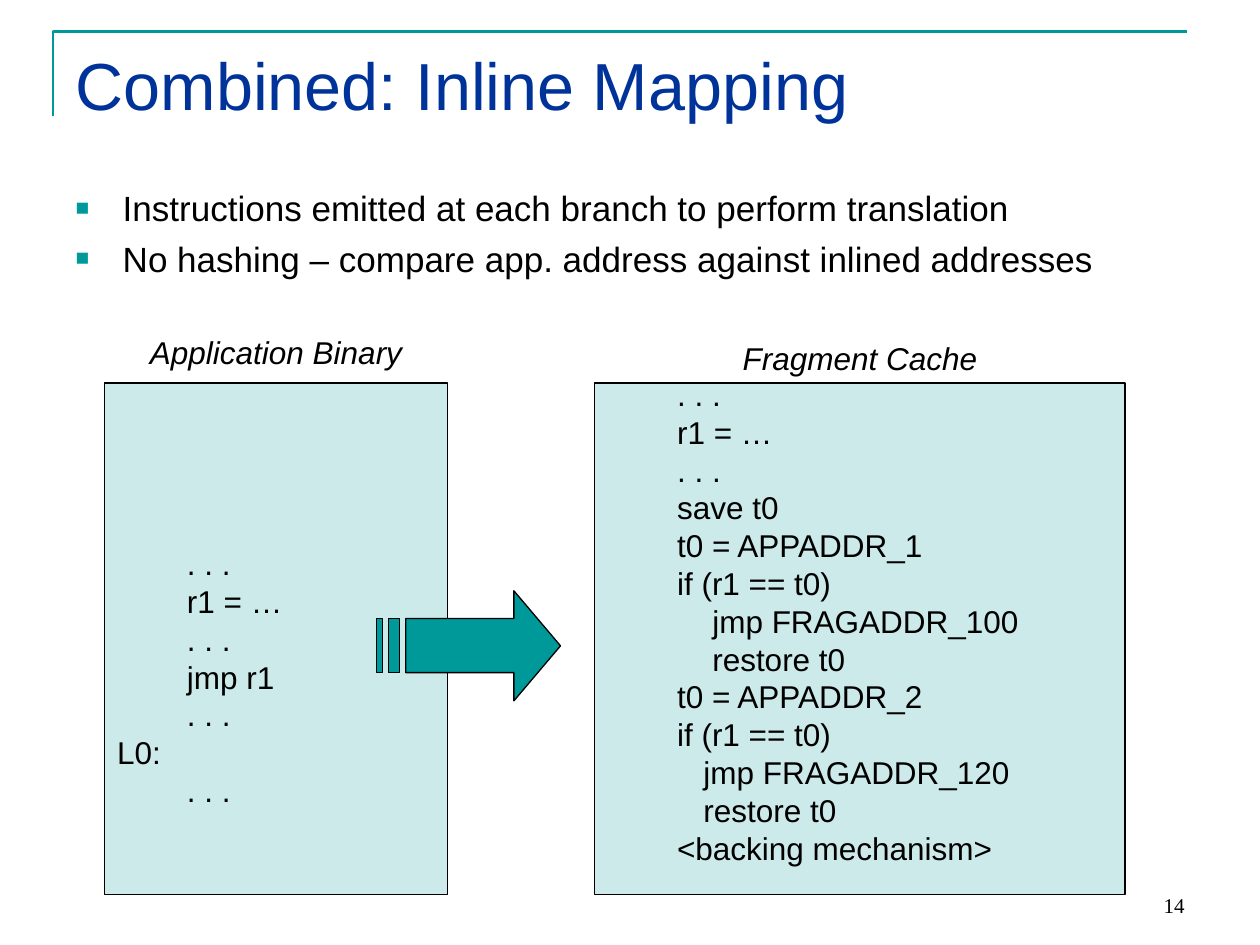
from lxml.etree import SubElement
from pptx import Presentation
from pptx.dml.color import RGBColor
from pptx.enum.shapes import MSO_SHAPE
from pptx.enum.text import MSO_ANCHOR, MSO_AUTO_SIZE, PP_ALIGN
from pptx.oxml.ns import qn
from pptx.util import Cm, Pt

TEAL = RGBColor(0x00, 0x99, 0x99)
NAVY = RGBColor(0x00, 0x33, 0x99)
BLACK = RGBColor(0x00, 0x00, 0x00)

TITLE = "Combined: Inline Mapping"
POINTS = [
    "Instructions emitted at each branch to perform translation",
    "No hashing – compare app. address against inlined addresses",
]
PAGE_NUMBER = "14"

CODE_INDENT, NESTED_INDENT, INNER_INDENT = 1.41, 2.12, 1.94
PANELS = [
    {
        "caption": "Application Binary",
        "caption_top": 6.58,
        "left": 2.11,
        "width": 6.91,
        "insets": (1.53, 0),
        "code": [
            (CODE_INDENT, ". . ."),
            (CODE_INDENT, "r1 = …"),
            (CODE_INDENT, ". . ."),
            (CODE_INDENT, "jmp r1"),
            (CODE_INDENT, ". . ."),
            (0, "L0:"),
            (CODE_INDENT, ". . ."),
        ],
    },
    {
        "caption": "Fragment Cache",
        "caption_top": 6.71,
        "left": 11.99,
        "width": 10.69,
        "insets": (0, 0.72),
        "code": [
            (CODE_INDENT, ". . ."),
            (CODE_INDENT, "r1 = …"),
            (CODE_INDENT, ". . ."),
            (CODE_INDENT, "save t0"),
            (CODE_INDENT, "t0 = APPADDR_1"),
            (CODE_INDENT, "if (r1 == t0)"),
            (NESTED_INDENT, "jmp FRAGADDR_100"),
            (NESTED_INDENT, "restore t0"),
            (CODE_INDENT, "t0 = APPADDR_2"),
            (CODE_INDENT, "if (r1 == t0)"),
            (INNER_INDENT, "jmp FRAGADDR_120"),
            (INNER_INDENT, "restore t0"),
            (CODE_INDENT, "<backing mechanism>"),
        ],
    },
]
PANEL_TOP, PANEL_HEIGHT = 7.72, 10.31

CORNER = [(1.07, 2.34), (1.07, 0.64), (23.93, 0.64)]
SHAFT_TOP, SHAFT_BOTTOM = 12.47, 13.56
ARROW = [
    (8.18, SHAFT_TOP), (10.36, SHAFT_TOP), (10.36, 11.91), (11.3, 13.02),
    (10.36, 14.13), (10.36, SHAFT_BOTTOM), (8.18, SHAFT_BOTTOM),
]
STRIPES = [(7.59, 7.71), (7.83, 8.06)]


def place(shape, left, top, width, height):
    shape.left, shape.top = Cm(left), Cm(top)
    shape.width, shape.height = Cm(width), Cm(height)


def format_text(paragraph, size, color=BLACK, font="Arial", italic=False, align=PP_ALIGN.LEFT):
    paragraph.alignment = align
    for run in paragraph.runs:
        run.font.size, run.font.name = Pt(size), font
        run.font.color.rgb, run.font.italic = color, italic


def add_label(slide, text, box, anchor=MSO_ANCHOR.TOP, **style):
    label = slide.shapes.add_textbox(*map(Cm, box))
    frame = label.text_frame
    frame.word_wrap, frame.vertical_anchor = True, anchor
    frame.text = text
    format_text(frame.paragraphs[0], **style)


def add_outline(slide, contours, closed):
    (start, *rest), *others = [[(Cm(x), Cm(y)) for x, y in contour] for contour in contours]
    builder = slide.shapes.build_freeform(*start)
    builder.add_line_segments(rest, close=closed)
    for first, *following in others:
        builder.move_to(*first)
        builder.add_line_segments(following, close=closed)
    outline = builder.convert_to_shape()
    outline.shadow.inherit = False
    return outline


def fill_points(body):
    frame = body.text_frame
    frame.text = "\n".join(POINTS)
    frame.auto_size = MSO_AUTO_SIZE.NONE
    for point in frame.paragraphs:
        format_text(point, 20)
        point.space_before = Pt(5)
        properties = point._p.get_or_add_pPr()
        properties.set("marL", str(Cm(0.95)))
        properties.set("indent", str(-Cm(0.95)))
        bullet_color = SubElement(properties, qn("a:buClr"))
        SubElement(bullet_color, qn("a:srgbClr"), val=str(TEAL))
        SubElement(properties, qn("a:buSzPct"), val="65000")
        SubElement(properties, qn("a:buFont"), typeface="Arial")
        SubElement(properties, qn("a:buChar"), char="■")


def add_panel(slide, panel):
    left, width = panel["left"], panel["width"]
    box = slide.shapes.add_shape(
        MSO_SHAPE.RECTANGLE, Cm(left), Cm(PANEL_TOP), Cm(width), Cm(PANEL_HEIGHT))
    box.shadow.inherit = False
    box.fill.solid()
    box.fill.fore_color.rgb = TEAL
    tint = box._element.spPr.find(qn("a:solidFill")).find(qn("a:srgbClr"))
    SubElement(tint, qn("a:alpha"), val="20000")
    box.line.color.rgb, box.line.width = BLACK, Pt(0.75)
    frame = box.text_frame
    frame.vertical_anchor, frame.word_wrap = MSO_ANCHOR.MIDDLE, True
    frame.margin_top, frame.margin_bottom = map(Cm, panel["insets"])
    frame.text = "\n".join(text for _, text in panel["code"])
    for paragraph, (indent, _) in zip(frame.paragraphs, panel["code"]):
        format_text(paragraph, 18)
        paragraph.line_spacing = Pt(21.6)
        paragraph._p.get_or_add_pPr().set("marL", str(Cm(indent)))
    add_label(slide, panel["caption"], (left, panel["caption_top"], width, 1.02),
              size=18, italic=True, align=PP_ALIGN.CENTER)


def main():
    """Build the inline mapping slide."""
    deck = Presentation()
    deck.slide_width, deck.slide_height = Cm(25.4), Cm(19.05)
    slide = deck.slides.add_slide(deck.slide_layouts[1])
    title, body = slide.placeholders

    corner = add_outline(slide, [CORNER], closed=False)
    corner.fill.background()
    corner.line.color.rgb, corner.line.width = TEAL, Pt(1.5)

    place(title, 1.27, 0.76, 22.86, 3.18)
    title.text_frame.text = TITLE
    title.text_frame.vertical_anchor = MSO_ANCHOR.TOP
    title.text_frame.auto_size = MSO_AUTO_SIZE.NONE
    format_text(title.text_frame.paragraphs[0], 38, NAVY)

    place(body, 1.27, 3.63, 22.86, 2.49)
    fill_points(body)

    for panel in PANELS:
        add_panel(slide, panel)

    stripes = [[(left, SHAFT_TOP), (right, SHAFT_TOP), (right, SHAFT_BOTTOM), (left, SHAFT_BOTTOM)]
               for left, right in STRIPES]
    arrow = add_outline(slide, [ARROW, *stripes], closed=True)
    arrow.fill.solid()
    arrow.fill.fore_color.rgb = TEAL
    arrow.line.color.rgb, arrow.line.width = BLACK, Pt(0.75)

    add_label(slide, PAGE_NUMBER, (18.21, 17.35, 5.92, 1.27), MSO_ANCHOR.BOTTOM,
              size=12, font="Times New Roman", align=PP_ALIGN.RIGHT)
    deck.save("out.pptx")


if __name__ == "__main__":
    main()
